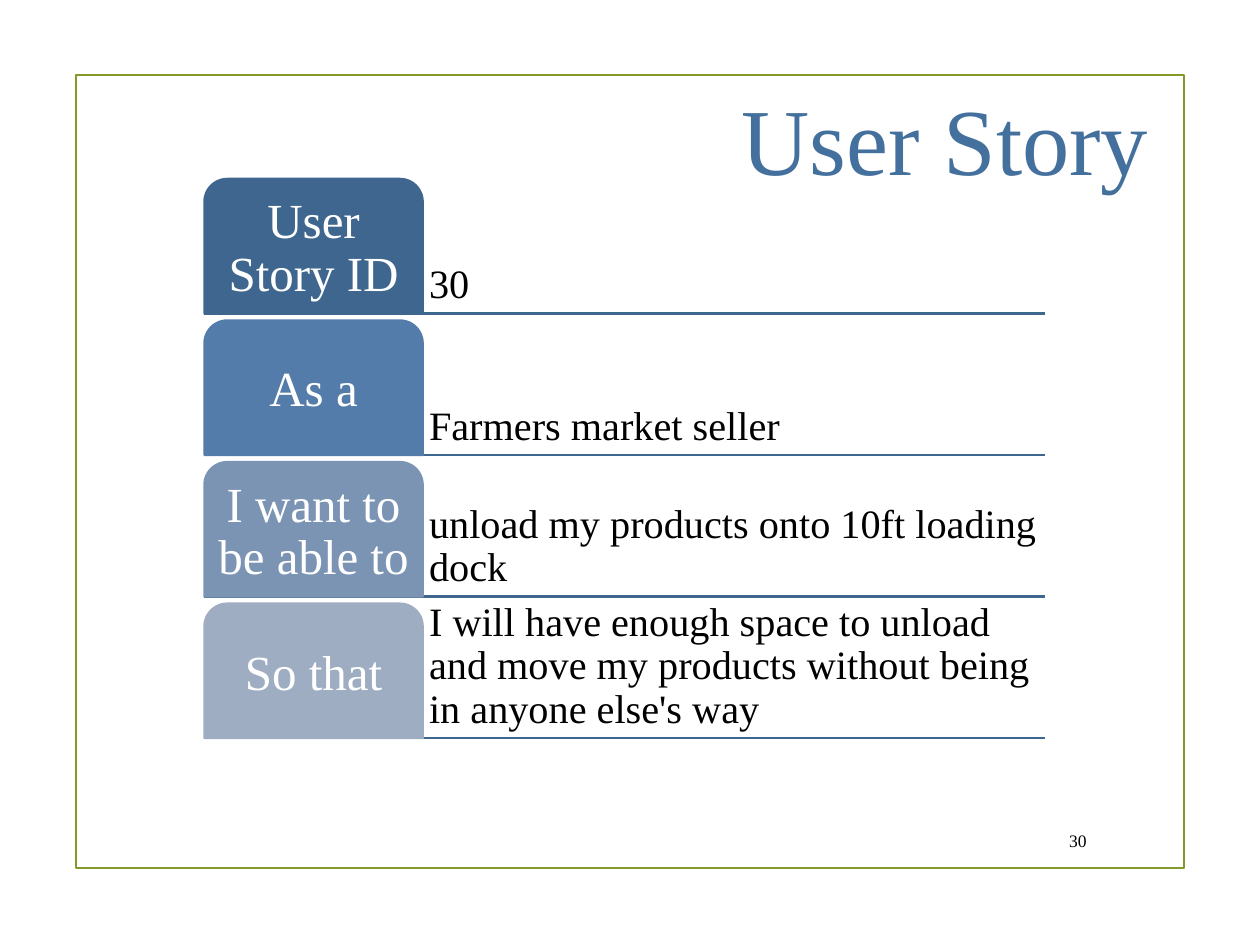
"""Build the user story slide."""
from dataclasses import dataclass

from lxml.etree import SubElement
from pptx import Presentation
from pptx.dml.color import RGBColor
from pptx.enum.shapes import MSO_CONNECTOR, MSO_SHAPE
from pptx.enum.text import MSO_ANCHOR, MSO_AUTO_SIZE, PP_ALIGN
from pptx.oxml.ns import qn
from pptx.shapes.autoshape import Shape
from pptx.slide import Slide
from pptx.util import Pt

FONT = "Times New Roman"
OLIVE = RGBColor(0x83, 0x99, 0x2A)
BLUE = RGBColor(0x44, 0x70, 0x9D)
NAVY = RGBColor(0x3E, 0x66, 0x8E)
STEEL = RGBColor(0x54, 0x7C, 0xAA)
SLATE = RGBColor(0x7B, 0x94, 0xB4)
MIST = RGBColor(0x9F, 0xAD, 0xC2)
BLACK = RGBColor(0, 0, 0)
WHITE = RGBColor(0xFF, 0xFF, 0xFF)

LEFT, TOP, RIGHT = 116.8, 102.2, 597
TAB_W, ROW_H, PITCH = 124.8, 76.9, 80.9
LINE_W = 1.25


@dataclass
class Row:
    """One part of the story."""
    label: str
    text: str
    fill: RGBColor


ROWS = [
    Row("User Story ID", "30", NAVY),
    Row("As a", "Farmers market seller", STEEL),
    Row("I want to be able to", "unload my products onto 10ft loading dock", SLATE),
    Row("So that", "I will have enough space to unload and move my products "
        "without being in anyone else's way", MIST),
]


def set_text(shape: Shape, text: str, size: float, color: RGBColor,
             align: PP_ALIGN, anchor: MSO_ANCHOR, space: float = 1) -> None:
    """Write one paragraph and format it."""
    frame = shape.text_frame
    frame.text = text
    frame.word_wrap = True
    frame.auto_size = MSO_AUTO_SIZE.NONE
    frame.vertical_anchor = anchor
    para = frame.paragraphs[0]
    para.alignment = align
    para.line_spacing = space
    font = para.runs[0].font
    font.name, font.size = FONT, Pt(size)
    font.color.rgb = color


def set_inset(shape: Shape, inset: float) -> None:
    """Give the text the same margin on all sides."""
    frame = shape.text_frame
    frame.margin_left = frame.margin_right = Pt(inset)
    frame.margin_top = frame.margin_bottom = Pt(inset)


def add_frame(slide: Slide) -> None:
    """Draw the border of the slide."""
    frame = slide.shapes.add_shape(
        MSO_SHAPE.RECTANGLE, Pt(43.6), Pt(42.8), Pt(633), Pt(453.4))
    frame.shadow.inherit = False
    frame.fill.background()
    frame.line.color.rgb = OLIVE
    frame.line.width = Pt(LINE_W)


def add_title(slide: Slide) -> None:
    """Place and format the title."""
    title = slide.shapes.title
    title.left, title.top = Pt(396), Pt(42)
    title.width, title.height = Pt(288), Pt(72.8)
    set_text(title, "User Story", 54, BLUE, PP_ALIGN.CENTER, MSO_ANCHOR.BOTTOM)


def add_rule(slide: Slide, y: float) -> None:
    """Draw the line below a row."""
    rule = slide.shapes.add_connector(
        MSO_CONNECTOR.STRAIGHT, Pt(LEFT), Pt(y), Pt(RIGHT), Pt(y))
    rule.line.color.rgb = NAVY
    rule.line.width = Pt(LINE_W)
    SubElement(rule._element.spPr, qn("a:effectLst"))


def add_row(slide: Slide, row: Row, top: float) -> None:
    """Draw a row: rule, text and tab."""
    add_rule(slide, top + ROW_H)
    start = LEFT + TAB_W
    body = slide.shapes.add_textbox(
        Pt(start), Pt(top), Pt(RIGHT - start), Pt(ROW_H))
    set_text(body, row.text, 23, BLACK, PP_ALIGN.LEFT, MSO_ANCHOR.BOTTOM, 0.9)
    set_inset(body, 3.6)

    tab = slide.shapes.add_shape(
        MSO_SHAPE.ROUND_2_SAME_RECTANGLE, Pt(LEFT), Pt(top), Pt(TAB_W), Pt(ROW_H))
    tab.adjustments[0] = 0.17
    tab.shadow.inherit = False
    tab.fill.solid()
    tab.fill.fore_color.rgb = row.fill
    tab.line.color.rgb = row.fill
    tab.line.width = Pt(LINE_W)
    set_text(tab, row.label, 28, WHITE, PP_ALIGN.CENTER, MSO_ANCHOR.MIDDLE, 0.9)
    set_inset(tab, 4)


def main() -> None:
    """Make the slide and save it."""
    deck = Presentation()
    deck.slide_width, deck.slide_height = Pt(720), Pt(540)
    slide = deck.slides.add_slide(deck.slide_layouts[5])
    add_frame(slide)
    add_title(slide)
    number = slide.shapes.add_textbox(Pt(597), Pt(469.4), Pt(31), Pt(22.4))
    set_text(number, "30", 10, BLACK, PP_ALIGN.RIGHT, MSO_ANCHOR.MIDDLE)
    for i, row in enumerate(ROWS):
        add_row(slide, row, TOP + i * PITCH)
    deck.save("out.pptx")


if __name__ == "__main__":
    main()
